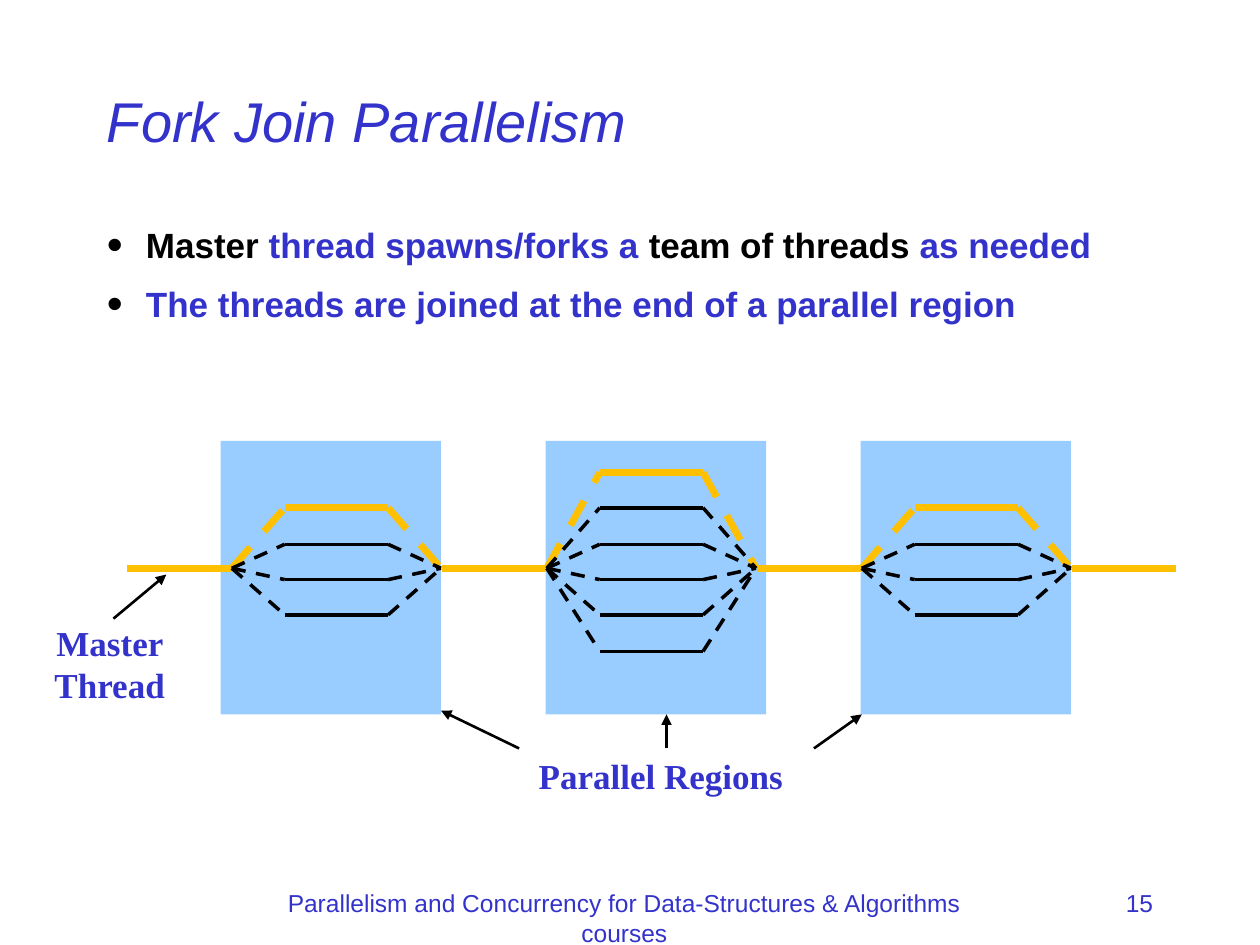
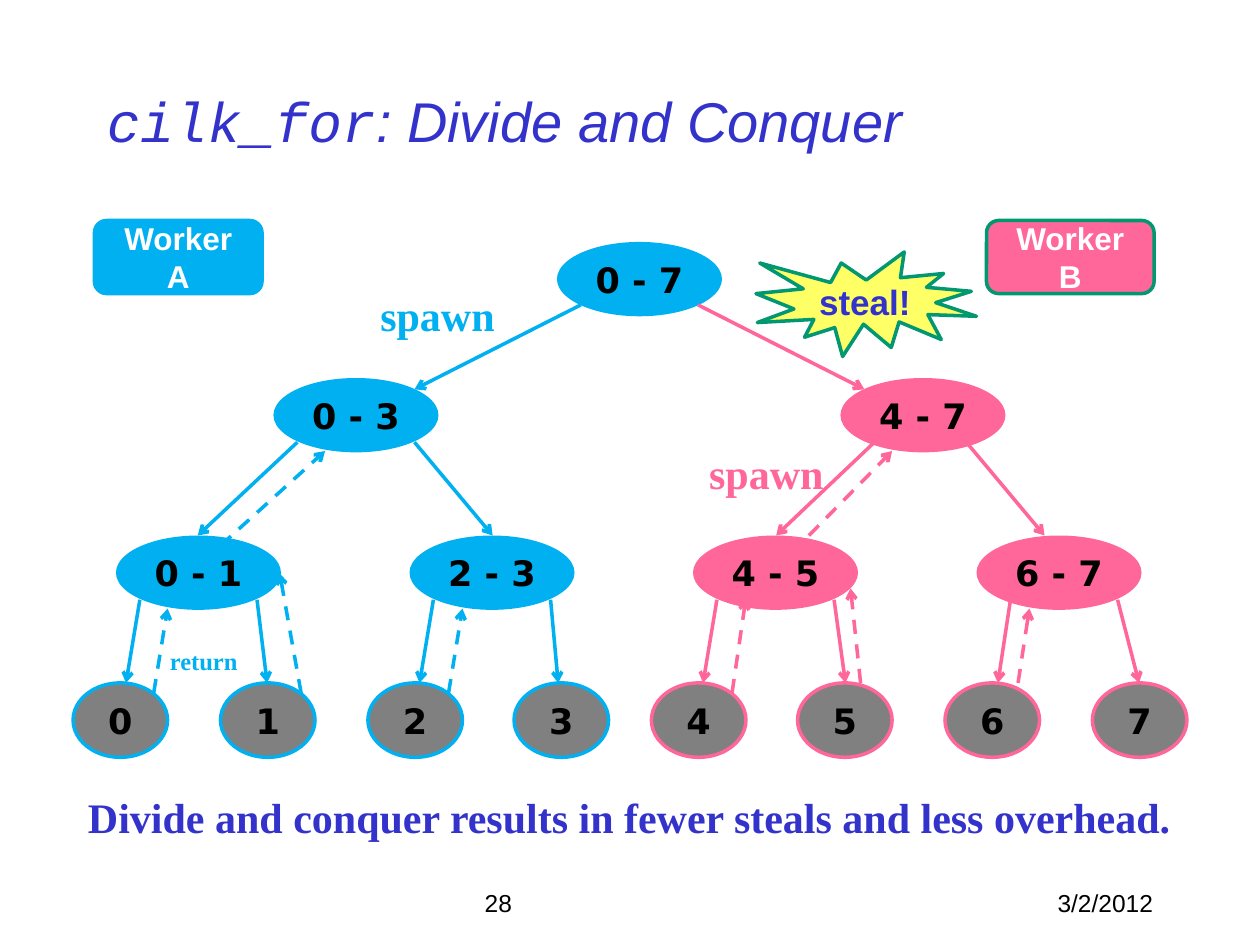
from lxml.etree import SubElement
from pptx import Presentation
from pptx.dml.color import RGBColor
from pptx.enum.dml import MSO_LINE
from pptx.enum.shapes import MSO_CONNECTOR, MSO_SHAPE as Kind
from pptx.enum.text import MSO_ANCHOR, PP_ALIGN
from pptx.oxml.ns import qn
from pptx.util import Inches, Pt

# Shared style: every length is in cells of a 120 by 90 grid
COLS, ROWS, CELL = 120, 90, 1 / 12
INK, BLACK, WHITE, GOLD, PALE = "3333CC", "000000", "FFFFFF", "FFC000", "99CCFF"
BLUE, PINK, GRAY, GREEN, LEMON = "00B0F0", "FF6699", "808080", "009771", "FFFF66"
SANS, SERIF, MONO, WIDE = "Arial", "Times New Roman", "Courier New", "DejaVu Sans"
ALIGN = {"l": PP_ALIGN.LEFT, "c": PP_ALIGN.CENTER, "r": PP_ALIGN.RIGHT}
TITLE, NUMBER = (9, 4, 102, 15), (86, 84, 25, 6)

# Fork-join content
POINTS = [
    [("Master", BLACK), (" thread spawns/forks a ", INK),
     ("team of threads ", BLACK), ("as needed", INK)],
    [("The threads are joined at the end of a parallel region", INK)],
]
COURSE = "Parallelism and Concurrency for Data-Structures & Algorithms courses"
REGIONS = [(21, 21, range(1, 5)), (52, 21, range(6)), (82, 20, range(1, 5))]
STEP, TRUNK, LANE, GAP = 30, 54.1, 45, 3.4
FORK, SPLIT, MERGE, JOIN = 22.1, 27.1, 37, 42
NOTES = [("Parallel Regions", (37.5, 71.3, 51, 5.3)),
         ("Master Thread", (2.5, 58.5, 15.8, 9.2))]
POINTERS = [((77.5, 71.3), (82.1, 68)), ((49.4, 71.3), (42, 67.7)),
            ((63.5, 71.3), (63.5, 68)), ((10.8, 58.9), (15.8, 54.7))]

# Divide-and-conquer content: (top, [(label, left), ...]) for each level
TREE = [
    (23, [("0 - 7", 53)]),
    (36, [("0 - 3", 26), ("4 - 7", 80)]),
    (51, [("0 - 1", 11), ("2 - 3", 39), ("4 - 5", 66), ("6 - 7", 93)]),
    (65, [("0", 7), ("1", 21), ("2", 35), ("3", 49),
          ("4", 62), ("5", 76), ("6", 90), ("7", 104)]),
]
NODE, LEAF, TALL, DIAG = 15.75, 9, 7.1, 0.354
# Sideways shift of an arrow's start and end, by child label
SHIFT = {"4 - 5": (1, 0), "6 - 7": (-1.4, -1.4), "0": (0, 0.5), "2": (0, 0.5),
         "3": (0, -0.3), "4": (0, 0.5), "6": (1, 0.5)}
RETURNS = [
    (BLUE, [((14.6, 66), (16, 58)), ((28.7, 66), (26.6, 54.6)),
            ((21, 52), (31, 43)), ((42.7, 66), (44, 58))]),
    (PINK, [((69.7, 66), (71, 57)), ((82, 65), (81, 56)),
            ((77, 51), (85, 43)), ((97, 65), (98, 58))]),
]
CALLS = [("spawn", (35, 27, 14, 5.3), 24, BLUE),
         ("return", (15, 61, 10, 4), 14, BLUE),
         ("spawn", (66.4, 42, 13.6, 6), 24, PINK)]
BADGES = [
    ("Worker A", Kind.ROUNDED_RECTANGLE, (9, 21, 16, 7), BLUE, BLUE, 18, WHITE),
    ("Worker B", Kind.ROUNDED_RECTANGLE, (94, 21, 16, 7), PINK, GREEN, 18, WHITE),
    ("steal!", Kind.EXPLOSION1, (72, 24, 21, 10), LEMON, GREEN, 20, INK),
]
MORAL = "Divide and conquer results in fewer steals and less overhead."


# Helpers
def tint(code):
    return RGBColor.from_string(code)


def cells(spots):
    return [Inches(round(s * CELL, 2)) for s in spots]


def add_run(para, text, size, color, font=SANS, bold=False, italic=False):
    run = para.add_run()
    run.text = text
    style = run.font
    style.size, style.name, style.bold, style.italic = Pt(size), font, bold, italic
    style.color.rgb = tint(color)


def add_box(slide, at):
    frame = slide.shapes.add_textbox(*cells(at)).text_frame
    frame.word_wrap = True
    return frame


def add_text(slide, at, text, size, color, font=SANS, align="l", bold=False):
    para = add_box(slide, at).paragraphs[0]
    para.alignment = ALIGN[align]
    add_run(para, text, size, color, font, bold)


def add_title(slide, *parts):
    frame = add_box(slide, TITLE)
    frame.vertical_anchor = MSO_ANCHOR.MIDDLE
    for text, font in parts:
        add_run(frame.paragraphs[0], text, 32, INK, font, italic=True)


def add_form(slide, kind, at, fill, edge=None):
    form = slide.shapes.add_shape(kind, *cells(at))
    form.shadow.inherit = False
    form.fill.solid()
    form.fill.fore_color.rgb = tint(fill)
    if edge:
        form.line.color.rgb = tint(edge)
        form.line.width = Pt(2)
    else:
        form.line.fill.background()
    return form


def add_label(form, text, size, color, font=SANS, wrap=True):
    frame = form.text_frame
    frame.word_wrap = wrap
    frame.vertical_anchor = MSO_ANCHOR.MIDDLE
    para = frame.paragraphs[0]
    para.alignment = PP_ALIGN.CENTER
    add_run(para, text, size, color, font, True)


def add_line(slide, start, end, color, width=2, dash=False, head=None):
    link = slide.shapes.add_connector(MSO_CONNECTOR.STRAIGHT, *cells(start + end))
    link.line.color.rgb = tint(color)
    link.line.width = Pt(width)
    if dash:
        link.line.dash_style = MSO_LINE.DASH
    props = link.element.spPr
    if head:
        SubElement(props.find(qn("a:ln")), qn("a:tailEnd"), type=head)
    SubElement(props, qn("a:effectLst"))


def add_bullet(para):
    props = para._p.get_or_add_pPr()
    props.set("marL", str(Inches(0.31)))
    props.set("indent", str(Inches(-0.31)))
    SubElement(SubElement(props, qn("a:buClr")), qn("a:srgbClr"), val=BLACK)
    SubElement(props, qn("a:buSzPct"), val="130000")
    SubElement(props, qn("a:buFont"), typeface=SANS)
    SubElement(props, qn("a:buChar"), char="•")


# Fork-join slide
def draw_fork(slide):
    add_title(slide, ("Fork Join Parallelism", SANS))
    frame = add_box(slide, (9, 21, 102, 59))
    for i, parts in enumerate(POINTS):
        para = frame.add_paragraph() if i else frame.paragraphs[0]
        para.line_spacing = 0.94
        para.space_before = Pt(11 * i)
        add_bullet(para)
        for text, color in parts:
            add_run(para, text, 20, color, bold=True)
    add_text(slide, NUMBER, "15", 14, INK, align="r")
    add_text(slide, (22, 84, 75, 6), COURSE, 14, INK, align="c")

    for left, width, _ in REGIONS:
        add_form(slide, Kind.RECTANGLE, (left, 42, width, 26), PALE)
    for i in range(len(REGIONS) + 1):
        x = i * STEP
        add_line(slide, (x + 12.1, TRUNK), (x + 22, TRUNK), GOLD, 4)
    for i, (_, _, lanes) in enumerate(REGIONS):
        fork, split, merge, join = (x + i * STEP for x in (FORK, SPLIT, MERGE, JOIN))
        for lane in lanes:
            y = LANE + lane * GAP
            pen = (GOLD, 4) if lane == lanes[0] else (BLACK, 2)
            add_line(slide, (split, y), (merge, y), *pen)
            add_line(slide, (fork, TRUNK), (split, y), *pen, dash=True)
            add_line(slide, (merge, y), (join, TRUNK), *pen, dash=True)

    for text, at in NOTES:
        add_text(slide, at, text, 20, INK, SERIF, "c", True)
    for start, end in POINTERS:
        add_line(slide, start, end, BLACK, 1.5, head="triangle")


# Divide-and-conquer slide
def draw_edge(slide, depth, pos, color):
    top, row = TREE[depth]
    label, left = row[pos]
    above, parents = TREE[depth - 1]
    side = 1 if pos % 2 else -1
    out, into = SHIFT.get(label, (0, 0))
    x = parents[pos // 2][1] + NODE * (0.5 + side * DIAG) + out
    y = above + TALL * (0.5 + DIAG)
    wide = LEAF if depth == 3 else NODE
    goal = (left + wide / 2 + into, top)
    if depth == 1:
        goal = (left + wide * (0.5 - side * DIAG), top + TALL * (0.5 - DIAG))
    add_line(slide, (x, y), goal, color, head="arrow")


def draw_tree(slide):
    add_title(slide, ("cilk_for", MONO), (": Divide and Conquer", SANS))
    edges = []
    for depth, (top, row) in enumerate(TREE):
        leaf = depth == len(TREE) - 1
        for pos, (label, left) in enumerate(row):
            color = PINK if depth and pos >= len(row) / 2 else BLUE
            at = (left, top, LEAF if leaf else NODE, TALL)
            look = (GRAY, color) if leaf else (color,)
            form = add_form(slide, Kind.OVAL, at, *look)
            add_label(form, label, 20, BLACK, WIDE, leaf)
            if depth:
                edges.append((depth, pos, color))
    for edge in edges:
        draw_edge(slide, *edge)

    for text, at, size, color in CALLS:
        add_text(slide, at, text, size, color, SERIF, bold=True)
    for text, kind, at, fill, edge, size, color in BADGES:
        add_label(add_form(slide, kind, at, fill, edge), text, size, color)
    for color, pairs in RETURNS:
        for start, end in pairs:
            add_line(slide, start, end, color, dash=True, head="arrow")
    add_text(slide, (5.8, 74.8, 108.4, 6), MORAL, 24, INK, SERIF, "c", True)
    add_text(slide, NUMBER, "3/2/2012", 14, BLACK, align="r")
    add_text(slide, (10, 84, 75, 6), "28", 14, BLACK, align="c")


def main():
    deck = Presentation()
    deck.slide_width, deck.slide_height = cells((COLS, ROWS))
    for draw in (draw_fork, draw_tree):
        draw(deck.slides.add_slide(deck.slide_layouts[6]))
    deck.save("out.pptx")


if __name__ == "__main__":
    main()
